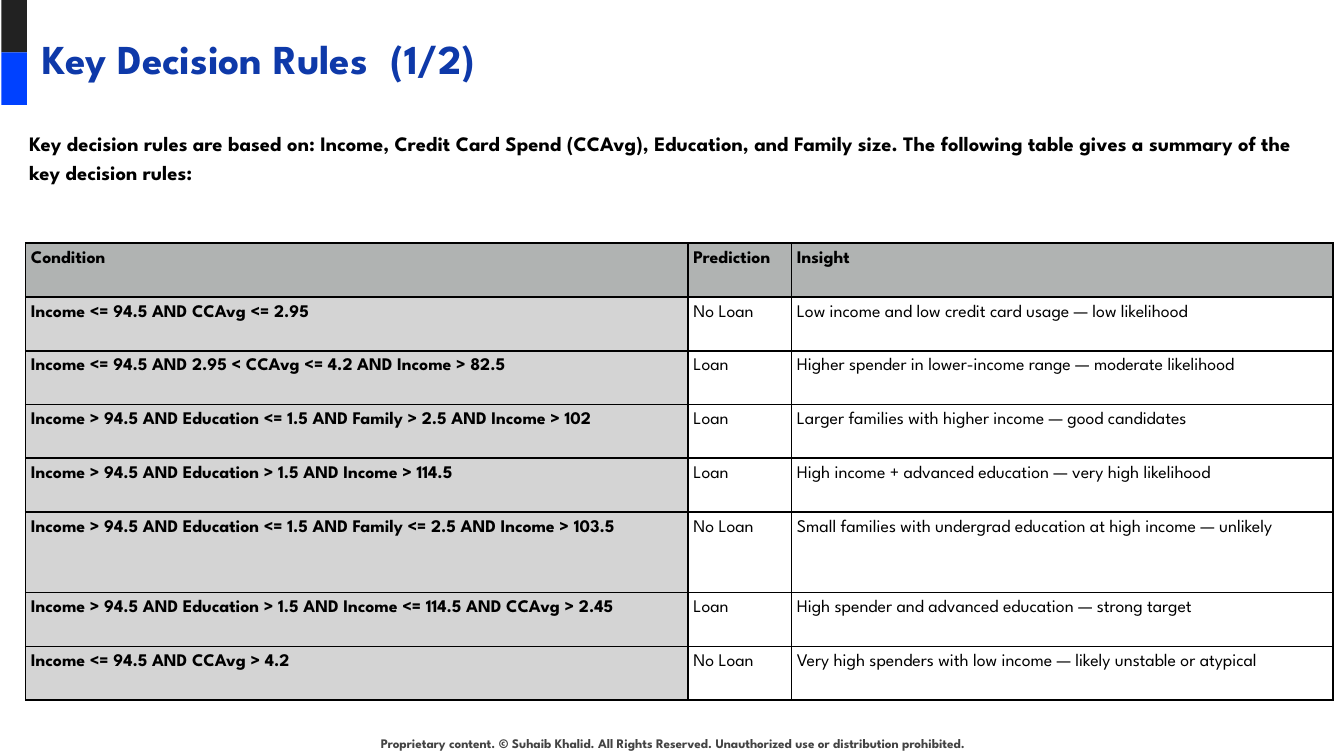
from lxml import etree
from pptx import Presentation
from pptx.dml.color import RGBColor
from pptx.enum.shapes import MSO_SHAPE
from pptx.enum.text import PP_ALIGN
from pptx.oxml.ns import qn
from pptx.util import Inches, Pt

RECT = MSO_SHAPE.RECTANGLE
LEFT, CENTER = PP_ALIGN.LEFT, PP_ALIGN.CENTER

FONT = "League Spartan"
SLIDE_W = 10
SLIDE_H = SLIDE_W * 9 / 16
COLUMNS = (4.93, 0.77, 4.03)
ROW_UNIT = 0.2
ROW_SPANS = (2, 2, 2, 2, 2, 3, 2, 2)
RULES = (
    ("Condition", "Prediction", "Insight"),
    ("Income <= 94.5 AND CCAvg <= 2.95", "No Loan",
     "Low income and low credit card usage — low likelihood"),
    ("Income <= 94.5 AND 2.95 < CCAvg <= 4.2 AND Income > 82.5", "Loan",
     "Higher spender in lower-income range — moderate likelihood"),
    ("Income > 94.5 AND Education <= 1.5 AND Family > 2.5 AND Income > 102", "Loan",
     "Larger families with higher income — good candidates"),
    ("Income > 94.5 AND Education > 1.5 AND Income > 114.5", "Loan",
     "High income + advanced education — very high likelihood"),
    ("Income > 94.5 AND Education <= 1.5 AND Family <= 2.5 AND Income > 103.5", "No Loan",
     "Small families with undergrad education at high income — unlikely"),
    ("Income > 94.5 AND Education > 1.5 AND Income <= 114.5 AND CCAvg > 2.45", "Loan",
     "High spender and advanced education — strong target"),
    ("Income <= 94.5 AND CCAvg > 4.2", "No Loan",
     "Very high spenders with low income — likely unstable or atypical"),
)


def rgb(value):
    return RGBColor.from_string(value)


def add_run(p, text, size, color="000000", bold=True):
    r = p.add_run()
    r.text = text
    r.font.name, r.font.size, r.font.bold = FONT, Pt(size), bold
    r.font.color.rgb = rgb(color)


def add_text(s, box, text, size, color="000000", align=LEFT, spacing=1.0,
             margins=(0.1, 0.1, 0.1, 0.1)):
    tf = s.shapes.add_textbox(*map(Inches, box)).text_frame
    tf.word_wrap = True
    tf.margin_left, tf.margin_top, tf.margin_right, tf.margin_bottom = map(Inches, margins)
    p = tf.paragraphs[0]
    p.alignment, p.line_spacing = align, spacing
    add_run(p, text, size, color)
    return p


def add_tab_stop(p, pos):
    tabs = etree.SubElement(p._p.get_or_add_pPr(), qn("a:tabLst"))
    etree.SubElement(tabs, qn("a:tab"), pos=str(Inches(pos)), algn="l")


def add_borders(cell, color="000000", width=1):
    tcPr = cell._tc.get_or_add_tcPr()
    for i, side in enumerate(("lnL", "lnR", "lnT", "lnB")):
        ln = etree.Element(qn("a:" + side), w=str(Pt(width)))
        fill = etree.SubElement(ln, qn("a:solidFill"))
        etree.SubElement(fill, qn("a:srgbClr"), val=color)
        tcPr.insert(i, ln)


def add_accent_bar(s, box):
    """Two equal blocks stacked in the corner."""
    x, y, w, h = box
    colors = ("222222", "0041FF")
    block_h = h / len(colors)
    for i, color in enumerate(colors):
        sp = s.shapes.add_shape(RECT, *map(Inches, (x, y + i * block_h, w, block_h)))
        sp.shadow.inherit = False
        sp.fill.solid()
        sp.fill.fore_color.rgb = rgb(color)
        sp.line.fill.background()


def add_title(s, box):
    p = add_text(s, box, "Key Decision Rules\t(1/2)", 22, "0E39A9")
    add_tab_stop(p, 2.59)


def add_rules_table(s, box):
    x, y, w, h = box
    table = s.shapes.add_table(len(RULES), len(COLUMNS), *map(Inches, box)).table
    for column, share in zip(table.columns, COLUMNS):
        column.width = Inches(w * share / sum(COLUMNS))
    for row, span in zip(table.rows, ROW_SPANS):
        row.height = Inches(h * span / sum(ROW_SPANS))
    for i, rule in enumerate(RULES):
        for j, text in enumerate(rule):
            cell = table.cell(i, j)
            cell.margin_left = cell.margin_right = Inches(0.04)
            cell.margin_top = cell.margin_bottom = Inches(0.04)
            # Header row and condition column are shaded and bold
            shaded = i == 0 or j == 0
            if shaded:
                cell.fill.solid()
                cell.fill.fore_color.rgb = rgb("B0B3B2" if i == 0 else "D4D4D4")
            else:
                cell.fill.background()
            add_borders(cell)
            p = cell.text_frame.paragraphs[0]
            p.line_spacing = 1.15
            add_run(p, text, 9.5, bold=shaded)


def main():
    prs = Presentation()
    prs.slide_width, prs.slide_height = Inches(SLIDE_W), Inches(SLIDE_H)
    s = prs.slides.add_slide(prs.slide_layouts[6])

    # Footer
    add_text(s, (2.44, 5.38, 5.11, 0.3),
             "Proprietary content. © Suhaib Khalid. All Rights Reserved. "
             "Unauthorized use or distribution prohibited.",
             7, "434343", align=CENTER, spacing=1.02, margins=(0.12, 0.13, 0.1, 0.07))
    # Corner accent
    add_accent_bar(s, (0.01, 0, 0.19, 0.78))
    # Introduction
    add_text(s, (0.12, 0.85, 9.8, 0.91),
             "Key decision rules are based on: Income, Credit Card Spend (CCAvg), "
             "Education, and Family size. The following table gives a summary of "
             "the key decision rules:", 11, spacing=1.15)
    # Title
    add_title(s, (0.22, 0.15, 9.32, 0.63))
    # Decision rules
    add_rules_table(s, (0.19, 1.81, sum(COLUMNS), ROW_UNIT * sum(ROW_SPANS)))

    prs.save("out.pptx")


if __name__ == "__main__":
    main()
